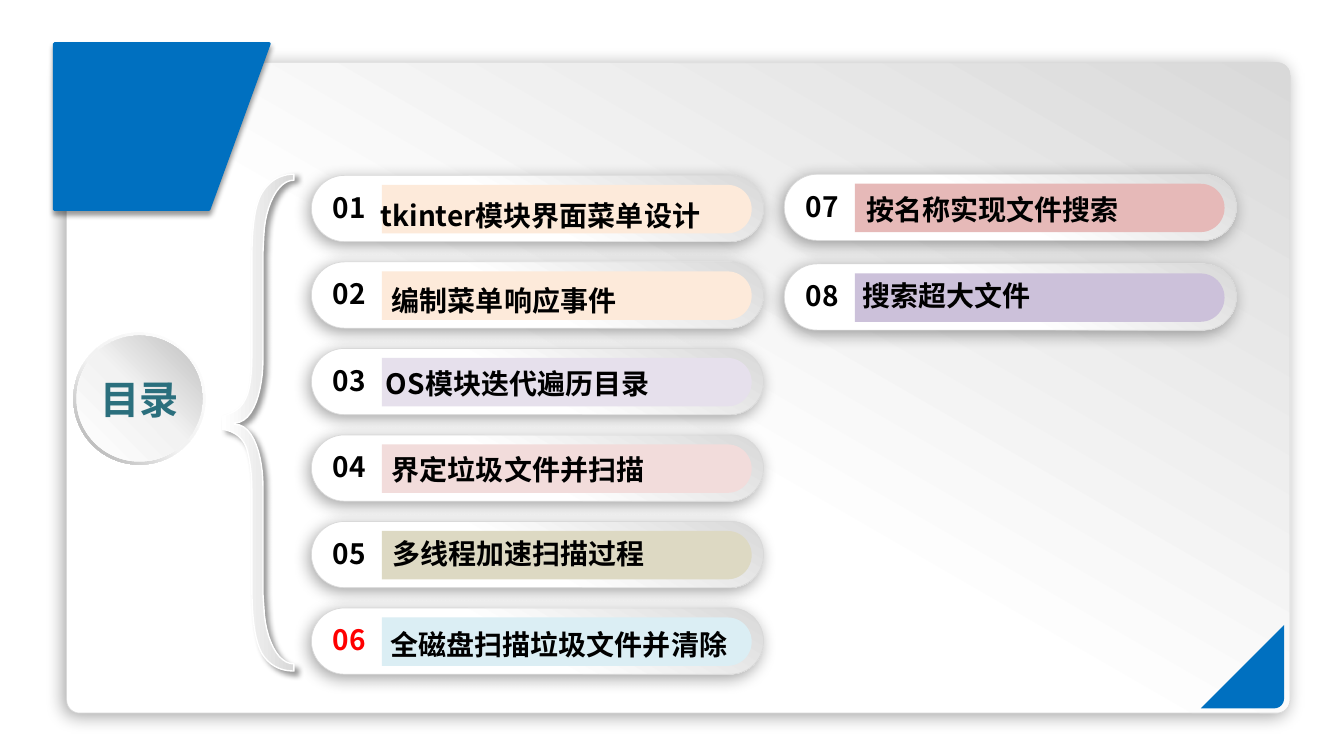
from lxml.etree import SubElement
from pptx import Presentation
from pptx.dml.color import RGBColor
from pptx.enum.shapes import MSO_SHAPE
from pptx.enum.text import MSO_ANCHOR, PP_ALIGN
from pptx.oxml.ns import qn
from pptx.util import Cm, Pt

COLORS = {
    "blue": "0070C0", "white": "FFFFFF", "mist": "F2F2F2", "silver": "D9D9D9",
    "ash": "BFBFBF", "grey": "A6A6A6", "black": "000000", "red": "FF0000",
    "teal": "2B6F7D", "peach": "FDEADA", "lilac": "E6E0EC", "blush": "F2DCDB",
    "sand": "DDD9C3", "sky": "DBEEF4", "rose": "E6B9B8", "violet": "CCC1DA",
}
FONT = "Noto Sans CJK SC"
PANEL_STOPS = [(45, "white"), (100, "silver")]
SOFT_SHADOW = (34, 12, 135)
BRACE_OUTLINE = [
    (1.8, 0.15), ((1.4, 0.15), (1.07, 0.79), (1.04, 1.57)), (1.02, 1.96), (1.02, 4.67),
    ((1.02, 5.38), (0.81, 6.27), (0.3, 6.27)), (0.3, 6.3),
    ((0.81, 6.3), (1.02, 7.16), (1.02, 7.87)), (1.02, 10.59), (1.04, 10.87),
    ((1.07, 11.73), (1.4, 12.34), (1.8, 12.34)), (1.8, 12.52),
    ((1.45, 12.52), (1.17, 12.37), (0.99, 12.07)),
    ((0.81, 11.73), (0.74, 11.18), (0.74, 10.36)), (0.74, 8),
    ((0.74, 7.54), (0.69, 7.19), (0.61, 6.91)),
    ((0.51, 6.63), (0.3, 6.48), (0, 6.43)), (0, 6.1),
    ((0.28, 6.02), (0.48, 5.89), (0.58, 5.66)),
    ((0.69, 5.44), (0.74, 5.08), (0.74, 4.55)), (0.74, 2.16),
    ((0.74, 1.35), (0.81, 0.79), (0.99, 0.48)),
    ((1.17, 0.18), (1.45, 0), (1.8, 0)),
]
LEFT_ENTRIES = [
    ("01", "tkinter模块界面菜单设计", "peach", "black", 1.5, 0.46),
    ("02", "编制菜单响应事件", "peach", "black", 1.78, 0.43),
    ("03", "OS模块迭代遍历目录", "lilac", "black", 1.63, 0.33),
    ("04", "界定垃圾文件并扫描", "blush", "black", 1.78, 0.33),
    ("05", "多线程加速扫描过程", "sand", "black", 1.8, 0.25),
    ("06", "全磁盘扫描垃圾文件并清除", "sky", "red", 1.75, 0.36),
]
RIGHT_ENTRIES = [
    ("07", "按名称实现文件搜索", "rose", "black", 1.83, 0.33),
    ("08", "搜索超大文件", "violet", "black", 1.73, 0.25),
]


def rgb(name):
    """Return a named colour."""
    return RGBColor.from_string(COLORS[name])


def paint(shape, fill, angle=0, line=None, line_width=0, shadow=None):
    """Set a solid or gradient fill, the outline and the shadow of a shape."""
    if isinstance(fill, str):
        shape.fill.solid()
        shape.fill.fore_color.rgb = rgb(fill)
    else:
        shape.fill.gradient()
        shape.fill.gradient_angle = (360 - angle) % 360
        stops = shape._element.spPr.find(".//" + qn("a:gsLst"))
        for stop in list(stops):
            stops.remove(stop)
        for position, name in fill:
            stop = SubElement(stops, qn("a:gs"), pos=str(position * 1000))
            SubElement(stop, qn("a:srgbClr"), val=COLORS[name])
    if line:
        shape.line.color.rgb = rgb(line)
        shape.line.width = Pt(line_width)
    else:
        shape.line.fill.background()
    shape.shadow.inherit = False
    if shadow:
        opacity, blur, direction = shadow
        effects = shape._element.spPr.find(qn("a:effectLst"))
        outer = SubElement(effects, qn("a:outerShdw"), blurRad=str(Pt(blur)), dist=str(Pt(3)),
                           dir=str(direction * 60000), algn="ctr", rotWithShape="0")
        color = SubElement(outer, qn("a:srgbClr"), val=COLORS["black"])
        SubElement(color, qn("a:alpha"), val=str(opacity * 1000))


def preset(page, kind, box, adjustment=None):
    """Add a preset shape in a box given in centimetres."""
    shape = page.shapes.add_shape(kind, *map(Cm, box))
    if adjustment is not None:
        shape.adjustments[0] = adjustment
    return shape


def outline(page, left, top, start, segments):
    """Add a closed outline of points and cubic curves."""
    points = [start]
    for segment in segments:
        if not isinstance(segment[0], tuple):
            points.append(segment)
            continue
        controls = (points[-1], *segment)
        for step in range(1, 13):
            t = step / 12
            weights = ((1 - t) ** 3, 3 * t * (1 - t) ** 2, 3 * t * t * (1 - t), t ** 3)
            points.append(tuple(sum(w * control[axis] for w, control in zip(weights, controls))
                                for axis in (0, 1)))
    places = [(Cm(left + x), Cm(top + y)) for x, y in points]
    builder = page.shapes.build_freeform(*places[0])
    builder.add_line_segments(places[1:], close=True)
    return builder.convert_to_shape()


def write(frame, text, size, color, align=PP_ALIGN.LEFT):
    """Put one bold paragraph in a text frame."""
    frame.word_wrap = True
    para = frame.paragraphs[0]
    para.text = text
    para.alignment = align
    para.font.size = Pt(size)
    para.font.bold = True
    para.font.color.rgb = rgb(color)
    para.font.name = FONT
    SubElement(para._p.pPr.find(qn("a:defRPr")), qn("a:ea"), typeface=FONT)


def add_backdrop(page, box):
    """Draw the panel with its blue tab and blue corner."""
    left, top, width, height = box
    panel = preset(page, MSO_SHAPE.ROUNDED_RECTANGLE, box, 0.02)
    paint(panel, PANEL_STOPS, 300, "silver", 0.5, SOFT_SHADOW)
    corner = outline(page, left + width - 2.25, top + height - 2.22, (2.1, 0),
                     [(2.1, 1.85), ((2.1, 1.98), (2, 2.1), (1.85, 2.1)), (0, 2.1)])
    paint(corner, "blue")
    tab = outline(page, left - 0.31, top - 0.48, (5.42, 0), [(0, 0), (0, 4.18), (3.9, 4.18)])
    paint(tab, "blue", line="blue", line_width=2, shadow=(40, 4, 90))


def add_heading(page, box):
    """Draw the round heading inside its rim."""
    left, top, size, _ = box
    rim = preset(page, MSO_SHAPE.DONUT, box, 0.05)
    paint(rim, [(0, "white"), (55, "mist"), (100, "grey")], 135)
    disc = preset(page, MSO_SHAPE.OVAL, (left + 0.08, top + 0.08, size - 0.16, size - 0.16))
    paint(disc, [(0, "white"), (51, "mist"), (100, "ash")], 315)
    frame = disc.text_frame
    frame.margin_left = frame.margin_right = frame.margin_top = frame.margin_bottom = 0
    frame.vertical_anchor = MSO_ANCHOR.MIDDLE
    write(frame, "目录", 28, "teal", PP_ALIGN.CENTER)


def add_brace(page, left, top):
    """Draw the brace that opens the list."""
    brace = outline(page, left, top, (1.8, 0), BRACE_OUTLINE)
    paint(brace, [(0, "white"), (100, "silver")], 0, "white", 1, (40, 4, 45))


def add_entry(page, box, entry):
    """Draw one numbered bar of the list."""
    left, top, _, _ = box
    number, title, fill, number_color, title_x, title_y = entry
    bar = preset(page, MSO_SHAPE.ROUNDED_RECTANGLE, box, 0.5)
    paint(bar, PANEL_STOPS, 300, "silver", 0.5, SOFT_SHADOW)
    label = outline(page, left + 1.78, top + 0.24, (0, 0), [
        (8.71, 0), ((9.05, 0), (9.32, 0.27), (9.32, 0.61)),
        ((9.32, 0.95), (9.05, 1.22), (8.71, 1.22)), (0, 1.22)])
    paint(label, fill)
    for text, color, x, y, width in ((number, number_color, 0.29, 0.25, 1.47),
                                     (title, "black", title_x, title_y, 9.6)):
        holder = page.shapes.add_textbox(Cm(left + x), Cm(top + y), Cm(width), Cm(1.1))
        write(holder.text_frame, text, 20, color)


def add_column(page, left, top, pitch, entries):
    """Stack the bars of one column at equal steps."""
    for row, entry in enumerate(entries):
        add_entry(page, (left, top + row * pitch, 11.4, 1.67), entry)


def main():
    """Build the contents slide and save it."""
    deck = Presentation()
    deck.slide_width, deck.slide_height = Cm(33.88), Cm(19.05)
    page = deck.slides.add_slide(deck.slide_layouts[6])
    add_backdrop(page, (1.68, 1.58, 30.84, 16.39))
    add_heading(page, (1.85, 8.38, 3.33, 3.33))
    add_brace(page, 5.61, 4.39)
    add_column(page, 7.85, 4.42, 2.18, LEFT_ENTRIES)
    add_column(page, 19.77, 4.39, 2.26, RIGHT_ENTRIES)
    deck.save("out.pptx")


if __name__ == "__main__":
    main()
